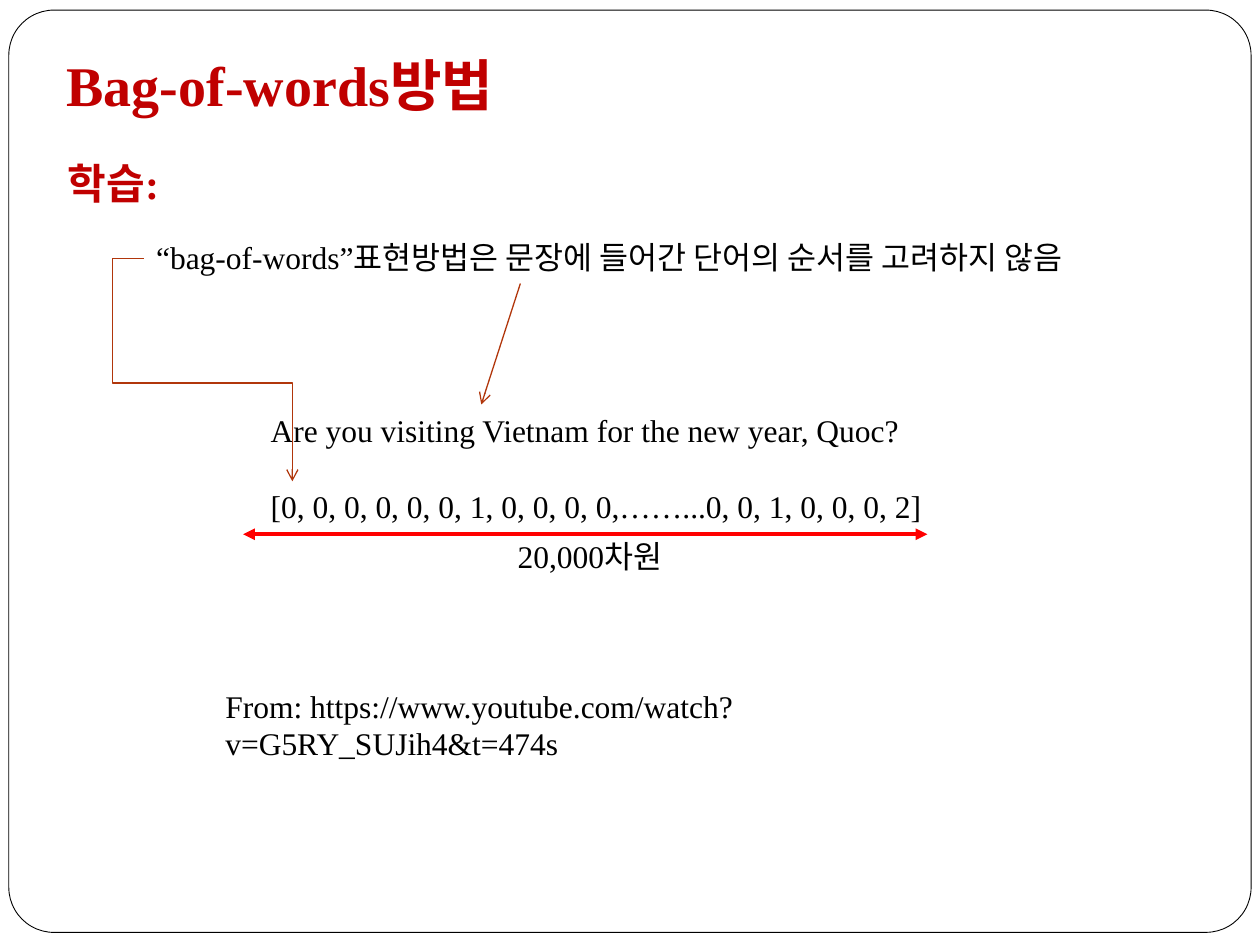
from typing import NamedTuple, Optional

from lxml import etree
from pptx import Presentation
from pptx import util as u
from pptx.dml.color import RGBColor
from pptx.enum import shapes, text
from pptx.oxml.ns import qn

FONT = "Times New Roman"
BLACK, WHITE, TITLE_RED, RED, RUST = "000000", "FFFFFF", "C00000", "FF0000", "B1360B"


class Label(NamedTuple):
    left: float
    top: float
    width: float
    height: float
    lines: list[str]
    size: int = 18
    color: str = BLACK
    bold: bool = False
    wrap: bool = False


class Arrow(NamedTuple):
    start: tuple[float, float]
    end: tuple[float, float]
    color: str = RUST
    width: float = 0.75
    head: Optional[str] = None
    tail: str = "arrow"


LABELS = [
    Label(1.69, 5.4, 6.66, 0.4,
          ["From: https://www.youtube.com/watch?v=G5RY_SUJih4&t=474s"], wrap=True),
    Label(2.05, 3.21, 5.87, 1.01,
          ["Are you visiting Vietnam for the new year, Quoc?",
           "[0, 0, 0, 0, 0, 0, 1, 0, 0, 0, 0,……...0, 0, 1, 0, 0, 0, 2]"]),
    Label(4.01, 4.21, 1.46, 0.4, ["20,000차원"]),
    Label(1.14, 1.84, 7.71, 0.4,
          ["“bag-of-words”표현방법은 문장에 들어간 단어의 순서를 고려하지 않음"]),
    Label(0.44, 1.2, 0.96, 0.5, ["학습:"], 24, TITLE_RED, True),
    Label(0.43, 0.35, 3.7, 0.64, ["Bag-of-words방법"], 32, TITLE_RED, True),
]
DIMENSION_ARROW = Arrow((1.93, 4.24), (7.36, 4.24), RED, 2.25, "triangle", "triangle")
SENTENCE_ARROW = Arrow((4.13, 2.25), (3.82, 3.21))
VECTOR_ARROW = Arrow((1.14, 2.05), (2.32, 3.82))


def rgb(color: str) -> RGBColor:
    return RGBColor.from_string(color)


def add_frame(slide) -> None:
    frame = slide.shapes.add_shape(
        shapes.MSO_SHAPE.ROUNDED_RECTANGLE,
        u.Inches(0.07), u.Inches(0.08), u.Inches(9.86), u.Inches(7.32))
    frame.adjustments[0] = 0.049
    frame.shadow.inherit = False
    frame.fill.solid()
    frame.fill.fore_color.rgb = rgb(WHITE)
    frame.line.color.rgb = rgb(BLACK)
    frame.line.width = u.Pt(0.5)


def add_label(slide, label: Label) -> None:
    box = slide.shapes.add_textbox(
        u.Inches(label.left), u.Inches(label.top),
        u.Inches(label.width), u.Inches(label.height))
    frame = box.text_frame
    frame.word_wrap = label.wrap
    frame.auto_size = text.MSO_AUTO_SIZE.SHAPE_TO_FIT_TEXT
    frame.text = "\n".join(label.lines)
    for index, paragraph in enumerate(frame.paragraphs):
        if index:
            paragraph.space_before = u.Pt(22)
        for run in paragraph.runs:
            run.font.name = FONT
            run.font.size = u.Pt(label.size)
            run.font.bold = label.bold
            run.font.color.rgb = rgb(label.color)


def add_arrow(slide, arrow: Arrow, kind=shapes.MSO_CONNECTOR.STRAIGHT):
    connector = slide.shapes.add_connector(
        kind, *(u.Inches(value) for value in arrow.start + arrow.end))
    connector.line.color.rgb = rgb(arrow.color)
    connector.line.width = u.Pt(arrow.width)
    line = connector.line._get_or_add_ln()
    for tag, style in (("a:headEnd", arrow.head), ("a:tailEnd", arrow.tail)):
        if style:
            etree.SubElement(line, qn(tag), type=style)
    etree.SubElement(connector._element.spPr, qn("a:effectLst"))
    return connector


def add_detour_arrow(slide, arrow: Arrow, bends: tuple[float, float]) -> None:
    """Add an elbow with two bends, given as shares of its width and height."""
    connector = add_arrow(slide, arrow, shapes.MSO_CONNECTOR.ELBOW)
    geometry = connector._element.spPr.find(qn("a:prstGeom"))
    geometry.set("prst", "bentConnector4")
    guides = geometry.find(qn("a:avLst"))
    for number, share in enumerate(bends, 1):
        etree.SubElement(guides, qn("a:gd"), name=f"adj{number}",
                         fmla=f"val {round(share * 100000)}")


def main() -> None:
    presentation = Presentation()
    presentation.slide_width = u.Inches(10)
    presentation.slide_height = u.Inches(7.5)
    slide = presentation.slides.add_slide(presentation.slide_layouts[6])
    add_frame(slide)
    for label in LABELS:
        add_label(slide, label)
    add_arrow(slide, DIMENSION_ARROW)
    add_arrow(slide, SENTENCE_ARROW)
    add_detour_arrow(slide, VECTOR_ARROW, (-0.21, 0.56))
    presentation.save("out.pptx")


if __name__ == "__main__":
    main()
